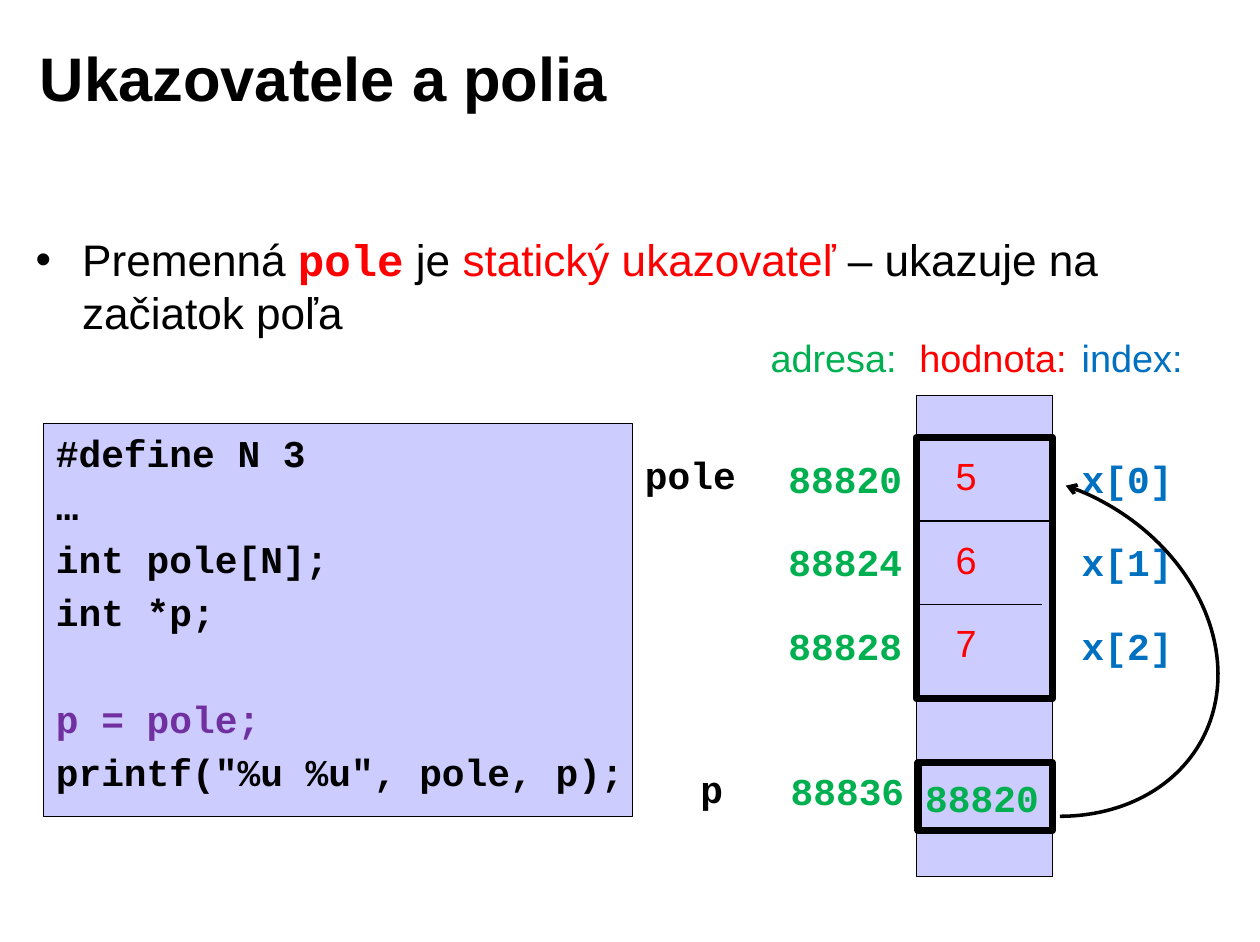
from lxml import etree
from pptx import Presentation
from pptx.dml.color import RGBColor
from pptx.enum import shapes, text
from pptx.oxml import ns
from pptx.util import Cm, Pt

BLACK, RED, GREEN, BLUE, PURPLE = "000000", "FF0000", "00B050", "0070C0", "7030A0"
LAVENDER = "CCCCFF"
MONO = {"font": "Courier New", "bold": True}
ROW_STEP = 1.87
MEMORY_LEFT, MEMORY_WIDTH = 20.5, 3.05


def rgb(code):
    return RGBColor.from_string(code)


def write(paragraph, words, size=24, font="Arial", colour=BLACK, bold=False):
    run = paragraph.add_run()
    run.text = words
    run.font.size = Pt(size)
    run.font.name = font
    run.font.bold = bold
    run.font.color.rgb = rgb(colour)


def add_frame(slide, left, top, width, height, wrap=True):
    box = slide.shapes.add_textbox(Cm(left), Cm(top), Cm(width), Cm(height))
    box.text_frame.word_wrap = wrap
    return box.text_frame


def add_label(slide, words, left, top, width, wrap=False, **style):
    frame = add_frame(slide, left, top, width, 1.28, wrap)
    frame.auto_size = text.MSO_AUTO_SIZE.SHAPE_TO_FIT_TEXT
    write(frame.paragraphs[0], words, **style)


def add_outline(slide, kind, left, top, width, height, weight, fill=None):
    outline = slide.shapes.add_shape(kind, Cm(left), Cm(top), Cm(width), Cm(height))
    outline.shadow.inherit = False
    if fill:
        outline.fill.solid()
        outline.fill.fore_color.rgb = rgb(fill)
    else:
        outline.fill.background()
    outline.line.color.rgb = rgb(BLACK)
    outline.line.width = Pt(weight)
    return outline


def add_box(slide, left, top, width, height, weight=0.75, fill=None):
    return add_outline(slide, shapes.MSO_SHAPE.RECTANGLE,
                       left, top, width, height, weight, fill)


def add_divider(slide, top, width):
    divider = slide.shapes.add_connector(
        shapes.MSO_CONNECTOR.STRAIGHT,
        Cm(MEMORY_LEFT), Cm(top), Cm(MEMORY_LEFT + width), Cm(top))
    divider.line.color.rgb = rgb(BLACK)
    divider.line.width = Pt(0.75)
    etree.SubElement(divider._element.spPr, ns.qn("a:effectLst"))


def add_pointer_arc(slide):
    arc = add_outline(slide, shapes.MSO_SHAPE.ARC, 18.49, 10.8, 8.94, 7.26, 2.25)
    arc.rotation = 28.6
    arc.adjustments[0] = 153.21
    arc.adjustments[1] = 30.18
    etree.SubElement(arc.line._get_or_add_ln(), ns.qn("a:headEnd"), type="arrow")


def add_title(slide):
    frame = add_frame(slide, 0.64, 0.43, 22.63, 2.59)
    frame.vertical_anchor = text.MSO_ANCHOR.MIDDLE
    write(frame.paragraphs[0], "Ukazovatele a polia", size=39, bold=True)


def add_statement(slide):
    frame = add_frame(slide, 0.55, 5.08, 27.1, 7.16)
    frame.margin_top = Cm(0.12)
    statement = frame.paragraphs[0]
    properties = statement._p.get_or_add_pPr()
    properties.set("marL", str(Cm(1.04)))
    properties.set("indent", str(Cm(-1.04)))
    etree.SubElement(properties, ns.qn("a:buFont"), typeface="Arial")
    etree.SubElement(properties, ns.qn("a:buChar"), char="•")
    write(statement, "Premenná ", size=28)
    write(statement, "pole", size=28, colour=RED, **MONO)
    write(statement, " je ", size=28)
    write(statement, "statický ukazovateľ ", size=28, colour=RED)
    write(statement, "– ukazuje na začiatok poľa", size=28)


def add_code(slide):
    frame = add_box(slide, 0.97, 9.47, 13.18, 8.81, fill=LAVENDER).text_frame
    frame.word_wrap = False
    frame.vertical_anchor = text.MSO_ANCHOR.TOP
    frame.margin_left = frame.margin_right = Cm(0.28)
    frame.margin_top = Cm(0.15)
    lines = [
        ("#define N 3", BLACK, 0),
        ("…", BLACK, 4.8),
        ("int pole[N];", BLACK, 4.8),
        ("int *p;", BLACK, 4.8),
        ("p = pole;", PURPLE, 39),
        ('printf("%u %u", pole, p);', BLACK, 4.8),
    ]
    for number, (code, colour, gap) in enumerate(lines):
        line = frame.add_paragraph() if number else frame.paragraphs[0]
        line.alignment = text.PP_ALIGN.LEFT
        if gap:
            line.space_before = Pt(gap)
        write(line, code, colour=colour, **MONO)


def add_memory(slide):
    add_box(slide, MEMORY_LEFT, 8.85, MEMORY_WIDTH, 10.77, fill=LAVENDER)
    add_divider(slide, 11.66, MEMORY_WIDTH)
    add_divider(slide, 11.66 + ROW_STEP, 2.82)
    add_box(slide, MEMORY_LEFT, 9.79, MEMORY_WIDTH, 5.85, weight=4.5)
    add_box(slide, 20.54, 17.07, 3, 1.52, weight=4.5)

    add_label(slide, "adresa:", 16.99, 7.37, 3.38, colour=GREEN)
    add_label(slide, "hodnota:", 20.32, 7.37, 3.84, colour=RED)
    add_label(slide, "index:", 23.95, 7.37, 2.79, colour=BLUE)

    cells = [("88820", "5"), ("88824", "6"), ("88828", "7")]
    for index, (address, value) in enumerate(cells):
        drop = index * ROW_STEP
        add_label(slide, address, 17.39, 10.07 + drop, 3.07, colour=GREEN, **MONO)
        add_label(slide, value, 21.13, 10.01 + drop, 2.11, wrap=True, colour=RED)
        add_label(slide, f"x[{index}]", 23.95, 10.07 + drop, 2.57, colour=BLUE, **MONO)

    add_label(slide, "pole", 14.18, 9.98, 3.35, wrap=True, **MONO)
    add_label(slide, "p", 15.42, 17.01, 2.31, wrap=True, **MONO)
    add_label(slide, "88836", 17.44, 17.05, 3.07, colour=GREEN, **MONO)
    add_label(slide, "88820", 20.45, 17.22, 3.07, colour=GREEN, **MONO)
    add_pointer_arc(slide)


def main():
    deck = Presentation()
    deck.slide_width, deck.slide_height = Cm(28.19), Cm(21.08)
    slide = deck.slides.add_slide(deck.slide_layouts[6])
    add_title(slide)
    add_code(slide)
    add_memory(slide)
    add_statement(slide)
    deck.save("out.pptx")


if __name__ == "__main__":
    main()
